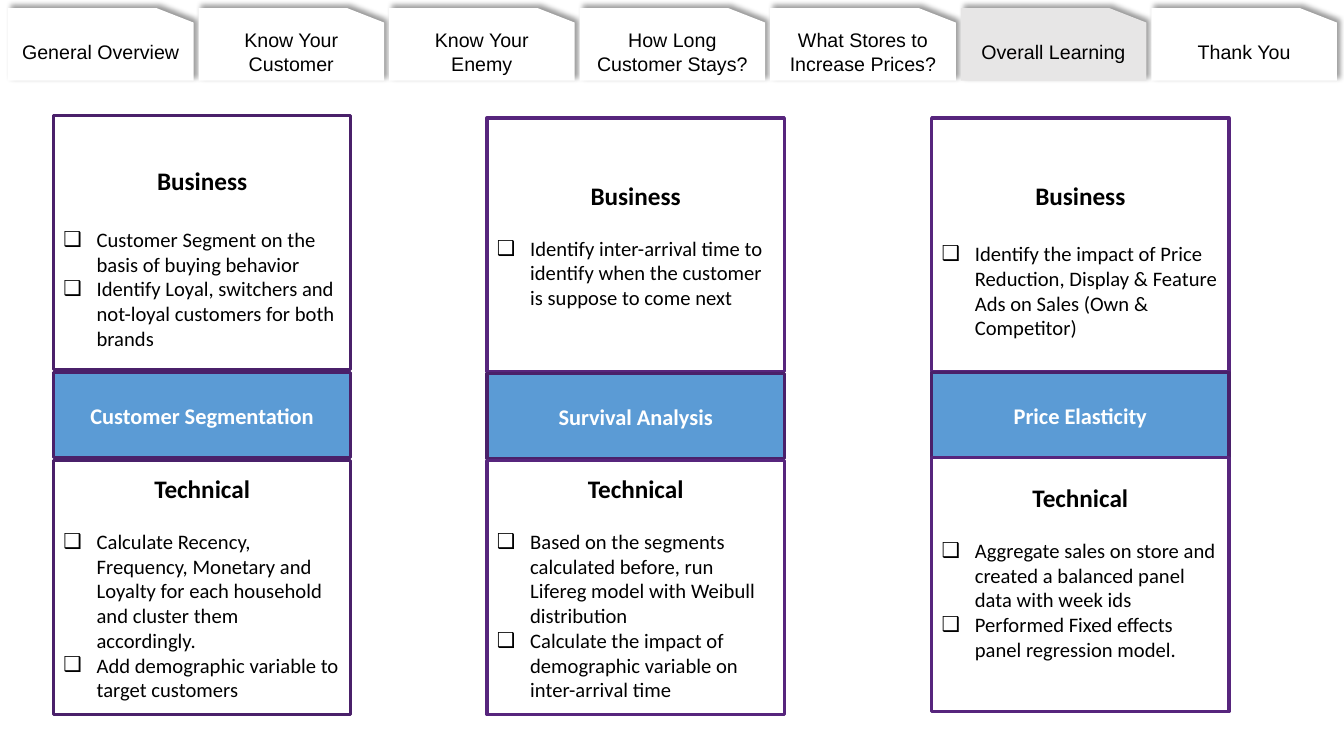
from pptx import Presentation, util as u
from pptx.dml.color import RGBColor
from pptx.enum import shapes, text
from pptx.oxml import parse_xml
from pptx.oxml.ns import nsdecls, qn

Inches, Pt = u.Inches, u.Pt

COLORS = {"white": "FFFFFF", "black": "000000", "band": "5B9BD5", "active": "E7E6E6",
          "plum": "4A206A", "purple": "57257D"}

TABS = ["General Overview", "Know Your Customer", "Know Your Enemy",
        "How Long Customer Stays?", "What Stores to Increase Prices?",
        "Overall Learning", "Thank You"]
ACTIVE_TAB = "Overall Learning"

# Panels: top, extra top inset, extra bottom inset, gap under the heading in points, bullets
COLUMNS = [
    {"left": 0.53, "border": "plum", "topic": "Customer Segmentation", "topic_top": 3.7,
     "Business": (1.15, 0.3, 0, 22, [
         "Customer Segment on the basis of buying behavior",
         "Identify Loyal, switchers and not-loyal customers for both brands"]),
     "Technical": (4.57, 0, 0, 18, [
         "Calculate Recency, Frequency, Monetary and Loyalty for each household "
         "and cluster them accordingly.",
         "Add demographic variable to target customers"])},
    {"left": 4.83, "border": "purple", "topic": "Survival Analysis", "topic_top": 3.71,
     "Business": (1.17, 0, 0, 18, [
         "Identify inter-arrival time to identify when the customer is suppose to come next"]),
     "Technical": (4.57, 0, 0, 18, [
         "Based on the segments calculated before, run Lifereg model with Weibull distribution",
         "Calculate the impact of demographic variable on inter-arrival time"])},
    {"left": 9.24, "border": "purple", "topic": "Price Elasticity", "topic_top": 3.7,
     "Business": (1.17, 0.3, 0, 22, [
         "Identify the impact of Price Reduction, Display & Feature Ads on Sales "
         "(Own & Competitor)"]),
     "Technical": (4.54, 0, 0.25, 18, [
         "Aggregate sales on store and created a balanced panel data with week ids",
         "Performed Fixed effects panel regression model."])},
]
COLUMN_WIDTH, PANEL_HEIGHT, TOPIC_HEIGHT = 2.95, 2.52, 0.84


def rgb(name):
    return RGBColor.from_string(COLORS[name])


def add_box(slide, kind, left, top, width, height, fill, border=None):
    box = slide.shapes.add_shape(kind, Inches(left), Inches(top), Inches(width), Inches(height))
    box.shadow.inherit = False
    box.fill.solid()
    box.fill.fore_color.rgb = rgb(fill)
    if border:
        box.line.color.rgb = rgb(border)
        box.line.width = Pt(2.25)
    else:
        box.line.fill.background()
    box.text_frame.word_wrap = True
    box.text_frame.vertical_anchor = text.MSO_ANCHOR.MIDDLE
    return box


def write(paragraph, words, size, color="black", bold=False, font="Calibri",
          align=text.PP_ALIGN.CENTER):
    paragraph.text = words
    paragraph.alignment = align
    for run in paragraph.runs:
        run.font.name = font
        run.font.size = Pt(size)
        run.font.bold = bold
        run.font.color.rgb = rgb(color)


def add_bullet(paragraph):
    props = paragraph._p.get_or_add_pPr()
    props.set("marL", str(Inches(0.33)))
    props.set("indent", str(-Inches(0.33)))
    props.append(parse_xml(f'<a:buFont {nsdecls("a")} typeface="Arial"/>'))
    props.append(parse_xml(f'<a:buChar {nsdecls("a")} char="❑"/>'))


def add_panel(slide, column, heading):
    top, inset_top, inset_bottom, gap, points = column[heading]
    panel = add_box(slide, shapes.MSO_SHAPE.RECTANGLE, column["left"], top,
                    COLUMN_WIDTH, PANEL_HEIGHT, "white", column["border"])
    frame = panel.text_frame
    frame.margin_top = Inches(0.05 + inset_top)
    frame.margin_bottom = Inches(0.05 + inset_bottom)
    write(frame.paragraphs[0], heading, 18, bold=True)
    frame.paragraphs[0].space_after = Pt(gap)
    for point in points:
        paragraph = frame.add_paragraph()
        add_bullet(paragraph)
        write(paragraph, point, 14.7, align=text.PP_ALIGN.LEFT)


def add_topic(slide, column):
    topic = add_box(slide, shapes.MSO_SHAPE.RECTANGLE, column["left"], column["topic_top"],
                    COLUMN_WIDTH, TOPIC_HEIGHT, "band", "plum")
    write(topic.text_frame.paragraphs[0], column["topic"], 16, "white", bold=True)


def add_tab(slide, index, label):
    tab = add_box(slide, shapes.MSO_SHAPE.FLOWCHART_CARD, 0.08 + index * 1.89, 0.08, 1.84, 0.72,
                  "active" if label == ACTIVE_TAB else "white")
    # Cut corner on the right, shadow towards the upper right
    props = tab._element.spPr
    props.find(qn("a:xfrm")).set("flipH", "1")
    props.find(qn("a:effectLst")).append(parse_xml(
        f'<a:outerShdw {nsdecls("a")} blurRad="{Pt(4)}" dist="{Pt(3)}" dir="{315 * 60000}" '
        f'algn="bl" rotWithShape="0"><a:srgbClr val="{COLORS["black"]}">'
        '<a:alpha val="40000"/></a:srgbClr></a:outerShdw>'))
    frame = tab.text_frame
    frame.margin_left = frame.margin_right = Inches(0.13)
    frame.margin_top = frame.margin_bottom = Inches(0.07)
    write(frame.paragraphs[0], label, 14, font="Arial")


def main():
    deck = Presentation()
    deck.slide_width, deck.slide_height = Inches(13.33), Inches(7.5)
    slide = deck.slides.add_slide(deck.slide_layouts[6])

    # Learning columns
    for column in COLUMNS:
        add_panel(slide, column, "Business")
        add_topic(slide, column)
        add_panel(slide, column, "Technical")

    # Navigation tabs
    for index, label in enumerate(TABS):
        add_tab(slide, index, label)

    deck.save("out.pptx")


if __name__ == "__main__":
    main()
